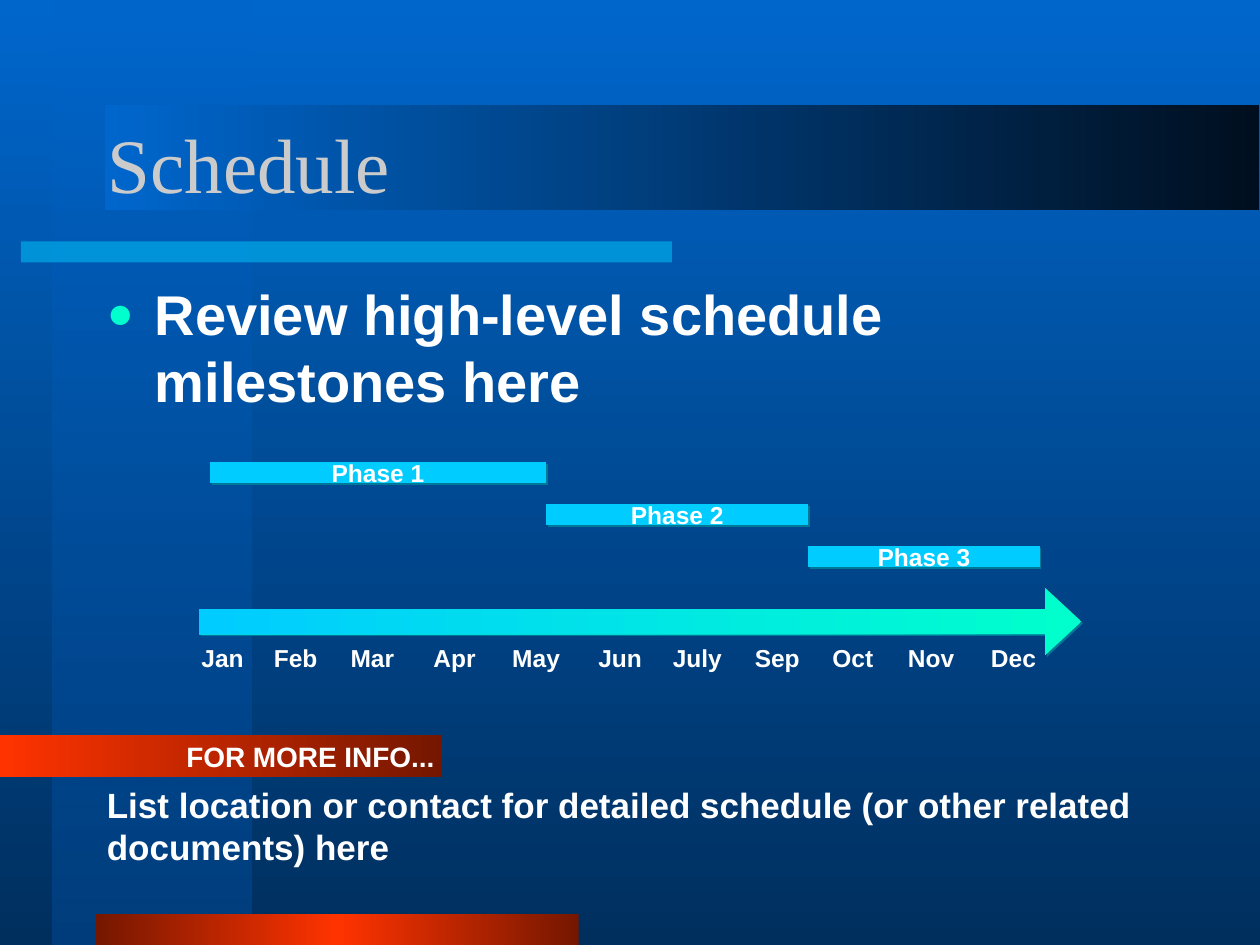
import itertools
import lxml.etree
import pptx
import pptx.dml.color
import pptx.enum.shapes
import pptx.enum.text
import pptx.oxml.ns
import pptx.util

qn = pptx.oxml.ns.qn
SHAPE = pptx.enum.shapes.MSO_SHAPE
ALIGN = pptx.enum.text.PP_ALIGN
ANCHOR = pptx.enum.text.MSO_ANCHOR
AUTO_SIZE = pptx.enum.text.MSO_AUTO_SIZE

presentation = pptx.Presentation()
presentation.slide_width = pptx.util.Inches(10)
presentation.slide_height = pptx.util.Inches(7.5)
slide = presentation.slides.add_slide(presentation.slide_layouts[6])
column = presentation.slide_width / 120
row = presentation.slide_height / 90


def paint(fill, element, stops, angle=0):
    if len(stops) == 1:
        fill.solid()
        fill.fore_color.rgb = pptx.dml.color.RGBColor.from_string(stops[0][1])
        colors = element.findall(".//" + qn("a:solidFill") + "/" + qn("a:srgbClr"))
    else:
        fill.gradient()
        fill.gradient_angle = 360 - angle
        stop_list = element.find(".//" + qn("a:gsLst"))
        for old_stop in list(stop_list):
            stop_list.remove(old_stop)
        colors = []
        for position, color, *_ in stops:
            stop = lxml.etree.SubElement(stop_list, qn("a:gs"), pos=str(position * 1000))
            colors.append(lxml.etree.SubElement(stop, qn("a:srgbClr"), val=color))
    for color, (_, _, *alpha) in zip(colors, stops):
        for value in alpha:
            lxml.etree.SubElement(color, qn("a:alpha"), val=str(value * 1000))


def write(shape, text, size, color="FFFFFF", name="Arial", bold=True, align=ALIGN.LEFT, bullet=None, **frame_format):
    for attribute, value in frame_format.items():
        setattr(shape.text_frame, attribute, value)
    paragraph = shape.text_frame.paragraphs[0]
    paragraph.alignment = align
    if bullet:
        properties = paragraph._p.get_or_add_pPr()
        properties.set("marL", str(pptx.util.Inches(0.38)))
        properties.set("indent", str(-pptx.util.Inches(0.38)))
        bullet_color = lxml.etree.SubElement(properties, qn("a:buClr"))
        lxml.etree.SubElement(bullet_color, qn("a:srgbClr"), val=bullet)
        lxml.etree.SubElement(properties, qn("a:buSzPct"), val="80000")
        lxml.etree.SubElement(properties, qn("a:buFont"), typeface="Arial")
        lxml.etree.SubElement(properties, qn("a:buChar"), char="●")
    run = paragraph.add_run()
    run.text = text
    for attribute, value in {"size": pptx.util.Pt(size), "name": name, "bold": bold}.items():
        setattr(run.font, attribute, value)
    paint(run.font.fill, run._r, [(0, color)])


paint(slide.background.fill, slide.element, [(0, "0066CC"), (100, "002F5E")], 90)

bars = {
    "side band": (SHAPE.RECTANGLE, (5, 0, 19, 90), [(0, "0066CC", 50), (100, "003E7D")], 90),
    "underline": (SHAPE.RECTANGLE, (2, 23, 62, 2), [(0, "00CCFF", 50)], 0),
    "footer": (SHAPE.RECTANGLE, (9.1, 87, 46, 3), [(0, "751700"), (50, "FF3300"), (100, "751700")], 180),
    "title band": (SHAPE.RECTANGLE, (10, 10, 109.9, 10), [(0, "000F1F"), (100, "0066CC")], 180),
    "info": (SHAPE.RECTANGLE, (0, 70, 42, 4), [(0, "751700"), (100, "FF3300")], 180),
    "timeline": (SHAPE.RIGHT_ARROW, (19, 56, 84, 6.4), [(0, "00FFCC"), (100, "00CCFF")], 180),
}
phase_edges = [20, 52, 77, 99]
for index, (start, end) in enumerate(itertools.pairwise(phase_edges)):
    place = (start, 44 + 4 * index, end - start, 2)
    bars[f"Phase {index + 1}"] = (SHAPE.FLOWCHART_PROCESS, place, [(0, "00CCFF")], 0)

for label, (kind, (left, top, width, height), stops, angle) in bars.items():
    shape = slide.shapes.add_shape(
        kind, int(left * column), int(top * row), int(width * column), int(height * row))
    shape.shadow.inherit = False
    shape.line.fill.background()
    paint(shape.fill, shape.element, stops, angle)
    if label == "timeline":
        shape.adjustments[0], shape.adjustments[1] = 0.37, 0.54
    if label == "info":
        inset = pptx.util.Inches(0.05)
        write(shape, "FOR MORE INFO...", 16, align=ALIGN.RIGHT, word_wrap=False,
              vertical_anchor=ANCHOR.MIDDLE, margin_left=inset, margin_right=inset)
    if label.startswith("Phase"):
        write(shape, label, 14, align=ALIGN.CENTER, word_wrap=False, vertical_anchor=ANCHOR.MIDDLE)
    if label == "timeline" or label.startswith("Phase"):
        effects = shape.element.spPr.find(qn("a:effectLst"))
        shadow = lxml.etree.SubElement(
            effects, qn("a:outerShdw"), dist=str(pptx.util.Pt(1.4)), dir="2700000", algn="ctr", rotWithShape="0")
        lxml.etree.SubElement(shadow, qn("a:srgbClr"), val="007998")

texts = [
    ((9.1, 8, 102, 15), "Schedule", 44, {
        "name": "Times New Roman", "color": "CBCBCB", "bold": False,
        "word_wrap": True, "vertical_anchor": ANCHOR.MIDDLE}),
    ((9, 26, 102, 54), "Review high-level schedule milestones here", 32, {
        "bullet": "00FFCC", "word_wrap": True}),
    ((9, 74, 102, 12), "List location or contact for detailed schedule (or other related documents) here", 20, {
        "word_wrap": True}),
]
months = "Jan Feb Mar Apr May Jun July Sep Oct Nov Dec".split()
month_lefts = [18, 24.9, 32.2, 40.1, 47.6, 55.8, 62.9, 70.7, 78.1, 85.3, 93.2]
month_widths = [6.6, 6.8, 6.8, 6.6, 7.1, 6.8, 7.2, 6.9, 6.5, 7, 6.9]
for month, left, width in zip(months, month_lefts, month_widths):
    texts.append(((left, 60.7, width, 4.1), month, 14, {
        "word_wrap": False, "auto_size": AUTO_SIZE.SHAPE_TO_FIT_TEXT}))

for (left, top, width, height), text, size, text_format in texts:
    box = slide.shapes.add_textbox(
        int(left * column), int(top * row), int(width * column), int(height * row))
    write(box, text, size, **text_format)

presentation.save("out.pptx")
